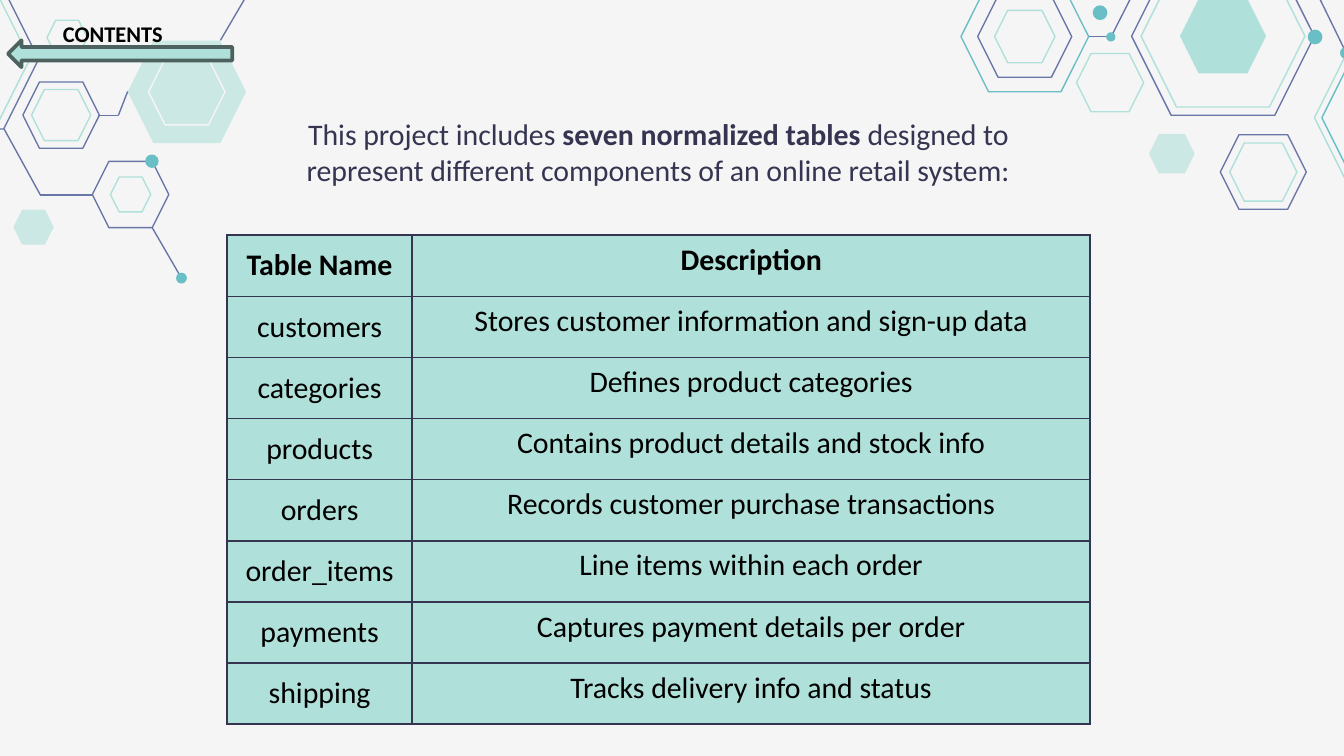
"""Build the contents slide that lists the tables of a retail database."""
from itertools import pairwise

from pptx import Presentation
from pptx.dml.color import RGBColor
from pptx.enum.shapes import MSO_CONNECTOR, MSO_SHAPE
from pptx.enum.text import MSO_ANCHOR, MSO_AUTO_SIZE, PP_ALIGN
from pptx.oxml import parse_xml
from pptx.oxml.ns import nsdecls, qn
from pptx.util import Pt

HEXAGON, ELLIPSE, LEFT_ARROW = MSO_SHAPE.HEXAGON, MSO_SHAPE.OVAL, MSO_SHAPE.LEFT_ARROW
STRAIGHT = MSO_CONNECTOR.STRAIGHT
CENTER, LEFT = PP_ALIGN.CENTER, PP_ALIGN.LEFT
TOP, MIDDLE = MSO_ANCHOR.TOP, MSO_ANCHOR.MIDDLE
GROW = MSO_AUTO_SIZE.SHAPE_TO_FIT_TEXT

FONT = "Calibri"
COLORS = {
    "paper": "F5F5F5",
    "mint": "AFE0D9",
    "teal": "6ABEC5",
    "slate": "6875A7",
    "navy": "353552",
    "moss": "4D625F",
    "black": "000000",
}
HEXAGON_RATIO = 0.866
SOFT_ALPHA = 59

# Each cluster: center x, center y, outlined (width, color), filled (width, alpha).
CLUSTERS = [
    (655.2, 19.4, [(97.9, "slate"), (87.8, "mint")], (46.1, 100)),
    (743.8, 63.1, [(79.2, "mint"), (71.3, "teal")], None),
    (676.8, 92.2, [(46.1, "slate"), (36, "mint")], None),
    (549, 19.6, [(68.4, "teal"), (50.4, "slate"), (32.4, "mint")], None),
    (594.7, 44.3, [(36, "mint")], None),
    (627.8, 82.4, [], (24.5, SOFT_ALPHA)),
    (-22.5, 31.7, [(86.4, "slate"), (77, "mint")], None),
    (100.1, 49.2, [(41, "paper")], (63.4, SOFT_ALPHA)),
    (32.8, 61.7, [(41, "slate"), (31.7, "mint")], None),
    (70, 104.2, [(41, "slate"), (21.6, "mint")], None),
    (36, 20.2, [(21.6, "mint")], None),
    (18, 121.7, [], (21.6, SOFT_ALPHA)),
]
ROUTES = [
    [(583.2, 19.4), (595.4, 19.4), (622.8, -34.6)],
    [(721.4, 28.8), (690.5, -34.6)],
    [(2.2, 69.1), (21.6, 104.4), (49.7, 104.4)],
    [(52.6, 61.9), (63.4, 61.9), (68.4, 49)],
    [(81.4, 121.7), (97.2, 149)],
    [(118.1, 21.6), (137.5, -11.5)],
]
DOTS = [
    (704.5, 19.8, 7.9),
    (589.3, 6.8, 7.9),
    (595.1, 19.8, 5),
    (721.1, 28.4, 6.5),
    (81.4, 86.4, 7.2),
    (97.2, 149, 5.8),
]
INTRO = [
    ("This project includes ", False),
    ("seven normalized tables", True),
    (" designed to represent different components of an online retail system:", False),
]
TABLE_ROWS = [
    ("Table Name", "Description"),
    ("customers", "Stores customer information and sign-up data"),
    ("categories", "Defines product categories"),
    ("products", "Contains product details and stock info"),
    ("orders", "Records customer purchase transactions"),
    ("order_items", "Line items within each order"),
    ("payments", "Captures payment details per order"),
    ("shipping", "Tracks delivery info and status"),
]
COLUMN_WIDTHS = (99.1, 363.3)
ROW_HEIGHT = 32.75


def rgb(name):
    """Return the named color."""
    return RGBColor.from_string(COLORS[name])


def add_figure(page, preset, frame, fill=None, line=None, weight=0.75, alpha=100):
    """Add a preset shape with an optional fill and outline."""
    figure = page.shapes.add_shape(preset, *map(Pt, frame))
    figure.shadow.inherit = False
    if fill:
        figure.fill.solid()
        figure.fill.fore_color.rgb = rgb(fill)
        if alpha < 100:
            color = figure.element.spPr.find(qn("a:solidFill")).find(qn("a:srgbClr"))
            color.append(parse_xml(f'<a:alpha {nsdecls("a")} val="{alpha * 1000}"/>'))
    else:
        figure.fill.background()
    if line:
        figure.line.color.rgb = rgb(line)
        figure.line.width = Pt(weight)
    else:
        figure.line.fill.background()


def centered(x, y, width, ratio=1):
    """Return the frame of a figure around its center."""
    height = width * ratio
    return x - width / 2, y - height / 2, width, height


def add_cluster(page, x, y, outlines, solid):
    """Add concentric hexagons."""
    if solid:
        width, alpha = solid
        add_figure(page, HEXAGON, centered(x, y, width, HEXAGON_RATIO), "mint", alpha=alpha)
    for width, color in outlines:
        add_figure(page, HEXAGON, centered(x, y, width, HEXAGON_RATIO), line=color)


def add_route(page, points):
    """Join successive points with straight connectors."""
    for start, end in pairwise(points):
        connector = page.shapes.add_connector(STRAIGHT, *map(Pt, start + end))
        connector.line.color.rgb = rgb("slate")
        connector.line.width = Pt(0.75)
        connector.element.spPr.append(parse_xml(f'<a:effectLst {nsdecls("a")}/>'))


def write(paragraph, spans, size, color, align):
    """Fill a paragraph with (text, bold) spans."""
    paragraph.alignment = align
    paragraph.font.name = FONT
    paragraph.font.size = Pt(size)
    paragraph.font.color.rgb = rgb(color)
    for text, bold in spans:
        span = paragraph.add_run()
        span.text = text
        span.font.bold = bold


def add_text(page, frame, spans, size, color, align, margin=None):
    """Add a wrapped text box and return its text frame."""
    box = page.shapes.add_textbox(*map(Pt, frame)).text_frame
    box.word_wrap = True
    if margin:
        box.margin_left = box.margin_right = Pt(margin)
        box.margin_top = box.margin_bottom = Pt(margin)
    write(box.paragraphs[0], spans, size, color, align)
    return box


def style_cell(cell):
    """Give a cell its borders and fill."""
    properties = cell._tc.get_or_add_tcPr()
    for side in "LRTB":
        properties.append(parse_xml(
            f'<a:ln{side} {nsdecls("a")} w="{Pt(1)}"><a:solidFill>'
            f'<a:srgbClr val="{COLORS["navy"]}"/></a:solidFill></a:ln{side}>'
        ))
    cell.fill.solid()
    cell.fill.fore_color.rgb = rgb("mint")


def add_grid(page, left, top):
    """Add the table of names and descriptions."""
    size = sum(COLUMN_WIDTHS), ROW_HEIGHT * len(TABLE_ROWS)
    grid = page.shapes.add_table(
        len(TABLE_ROWS), len(COLUMN_WIDTHS), *map(Pt, (left, top, *size))
    ).table
    grid.first_row = grid.horz_banding = False
    for column, width in zip(grid.columns, COLUMN_WIDTHS):
        column.width = Pt(width)
    for row, texts in enumerate(TABLE_ROWS):
        grid.rows[row].height = Pt(ROW_HEIGHT)
        for column, text in enumerate(texts):
            cell = grid.cell(row, column)
            style_cell(cell)
            cell.vertical_anchor = TOP if column else MIDDLE
            write(cell.text_frame.paragraphs[0], [(text, row == 0)], 16, "black", CENTER)


def main():
    """Build and save the deck."""
    deck = Presentation()
    deck.slide_width, deck.slide_height = Pt(720), Pt(405)
    page = deck.slides.add_slide(deck.slide_layouts[6])
    page.background.fill.solid()
    page.background.fill.fore_color.rgb = rgb("paper")
    for cluster in CLUSTERS:
        add_cluster(page, *cluster)
    for route in ROUTES:
        add_route(page, route)
    for dot in DOTS:
        add_figure(page, ELLIPSE, centered(*dot), "teal")
    add_text(page, (149, 54.7, 407.5, 30.2), INTRO, 16, "navy", CENTER, margin=7.2)
    add_grid(page, 121.7, 126)
    add_figure(page, LEFT_ARROW, (4.3, 21.6, 120.2, 14.4), "mint", "moss", 2)
    heading = add_text(page, (26.6, 7.2, 75.6, 21.6), [("CONTENTS", True)], 12, "black", LEFT)
    heading.auto_size = GROW
    deck.save("out.pptx")


if __name__ == "__main__":
    main()
